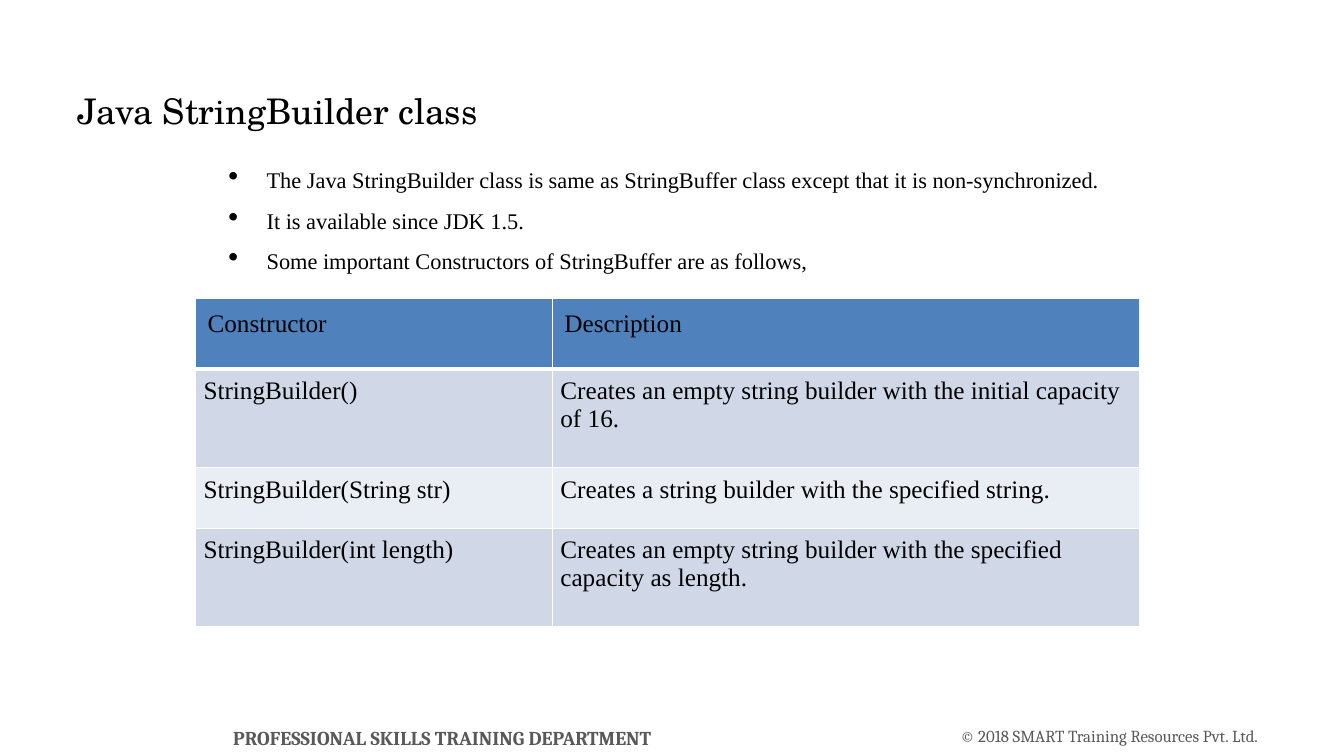
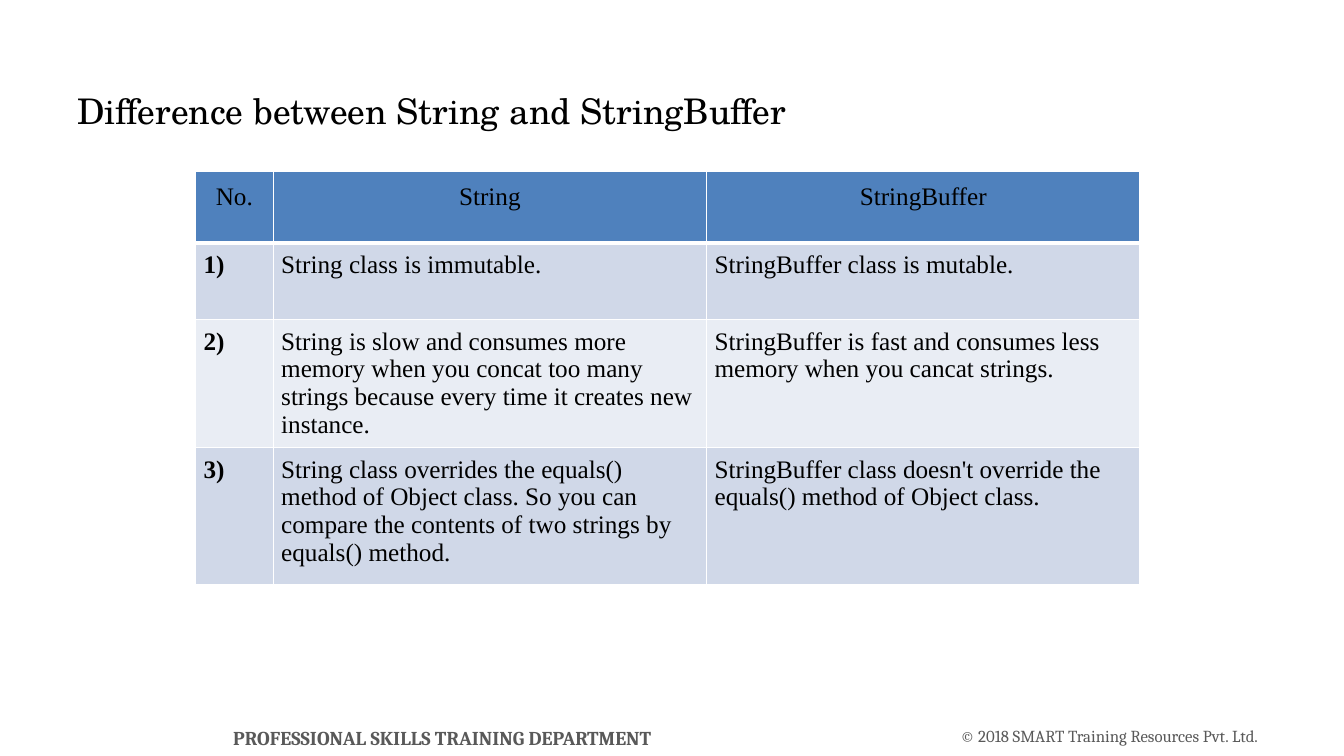
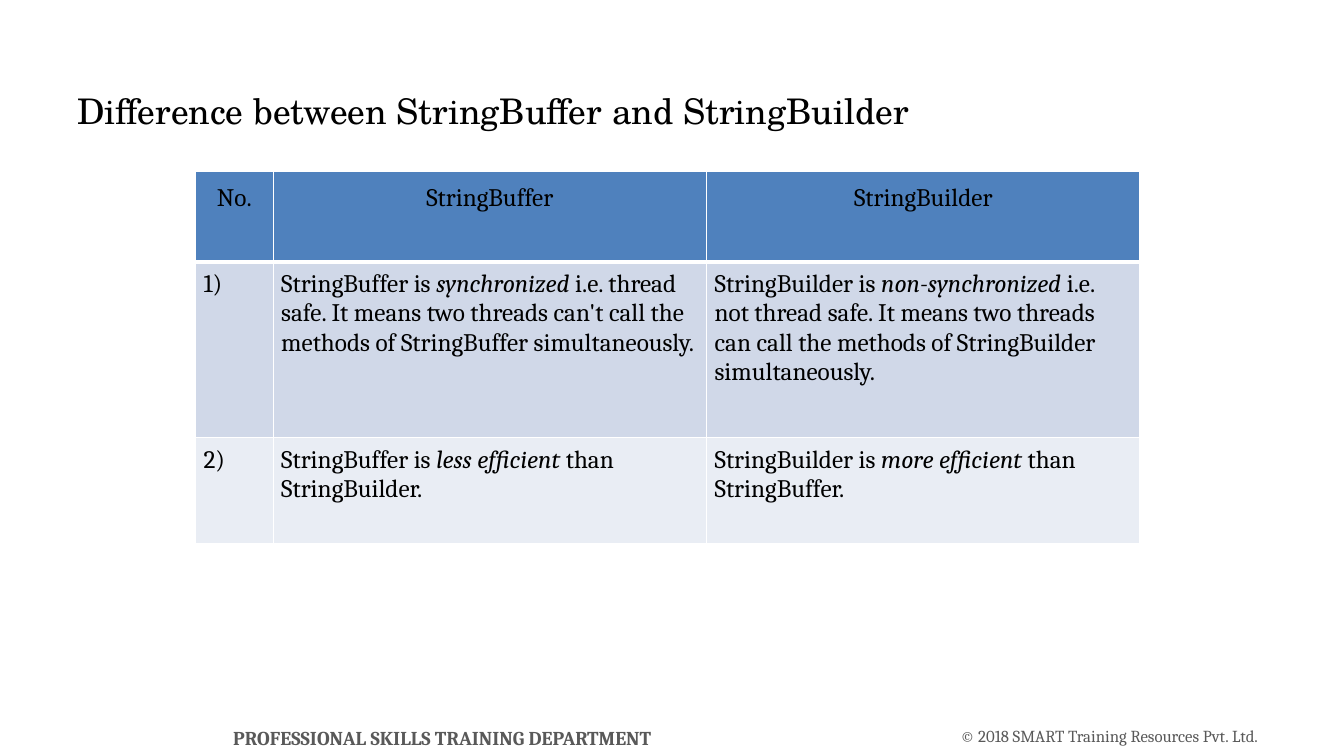
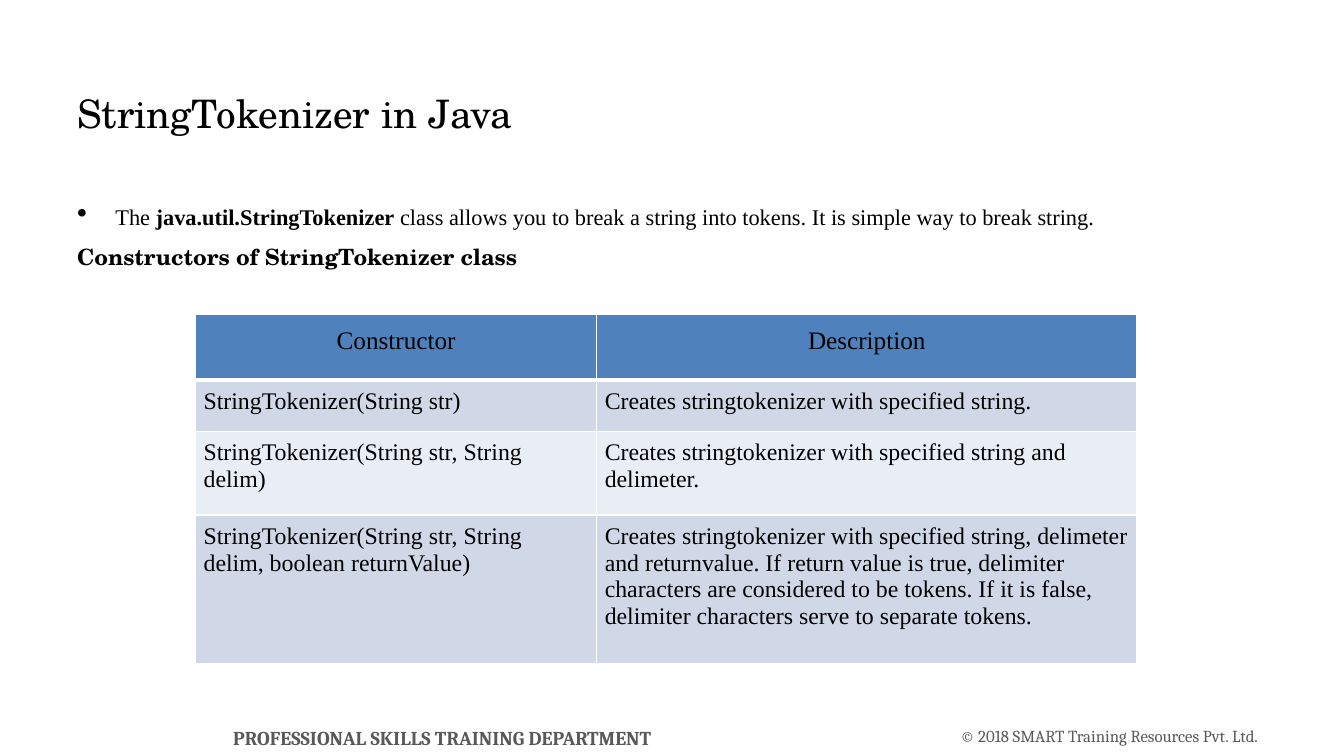
import pptx
import pptx.util
import pptx.dml.color
import pptx.enum.text
import pptx.oxml
import pptx.oxml.ns
import lxml.etree

COLORS = {"ink": "000000", "footer": "595959", "line": "FFFFFF",
          "header": "4F81BD", "odd": "D0D8E8", "even": "E9EDF4"}
SERIF, HEADING, FOOTER = "Times New Roman", "TeX Gyre Schola", "Cambria"
LEFT, CENTER = pptx.enum.text.PP_ALIGN.LEFT, pptx.enum.text.PP_ALIGN.CENTER
TOP, MIDDLE = pptx.enum.text.MSO_ANCHOR.TOP, pptx.enum.text.MSO_ANCHOR.MIDDLE

deck = pptx.Presentation()
deck.slide_width = pptx.util.Inches(13.33)
deck.slide_height = pptx.util.Inches(7.5)
COLUMN = deck.slide_width / 40
ROW = deck.slide_height / 45


def grid(left, top, width, height):
    return (round(left * COLUMN), round(top * ROW),
            round(width * COLUMN), round(height * ROW))


def write(frame, text, font=SERIF, size=18, color="ink", align=LEFT, bold=False,
          emphasis="bold", spacing=None, bullet=False):
    para = frame.paragraphs[0]
    if para.runs:
        para = frame.add_paragraph()
    para.alignment = align
    if spacing:
        para.line_spacing = spacing
    if bullet:
        properties = para._p.get_or_add_pPr()
        properties.set("marL", str(pptx.util.Inches(0.38)))
        properties.set("indent", str(-pptx.util.Inches(0.38)))
        for tag, key, value in (("a:buSzPct", "val", "130000"), ("a:buChar", "char", "•")):
            lxml.etree.SubElement(properties, pptx.oxml.ns.qn(tag)).set(key, value)
    for index, part in enumerate(text.split("|")):
        if part:
            span = para.add_run()
            span.text = part
            span.font.name = font
            span.font.size = pptx.util.Pt(size)
            span.font.color.rgb = pptx.dml.color.RGBColor.from_string(COLORS[color])
            span.font.bold = bold
            if index % 2:
                setattr(span.font, emphasis, True)


slides = [
    {
        "title": "Java StringBuilder class",
        "body": (6.5, 8.82, 27, 28.2),
        "bullets": [
            "The Java StringBuilder class is same as StringBuffer class except that it is non-synchronized.",
            "It is available since JDK 1.5.",
            "Some important Constructors of StringBuffer are as follows,",
        ],
        "top": 17.76,
        "columns": [10.62, 17.49],
        "rows": [4.2, 5.88, 3.6, 5.88],
        "header_align": LEFT,
        "cells": [
            ["Constructor", "Description"],
            ["StringBuilder()", "Creates an empty string builder with the initial capacity of 16."],
            ["StringBuilder(String str)", "Creates a string builder with the specified string."],
            ["StringBuilder(int length)",
             "Creates an empty string builder with the specified capacity as length."],
        ],
    },
    {
        "title": "Difference between String and StringBuffer",
        "top": 10.2,
        "columns": [2.31, 12.9, 12.9],
        "rows": [4.26, 4.56, 7.62, 8.16],
        "cells": [
            ["No.", "String", "StringBuffer"],
            ["|1)|", "String class is immutable.", "StringBuffer class is mutable."],
            ["|2)|",
             "String is slow and consumes more memory when you concat too many strings "
             "because every time it creates new instance.",
             "StringBuffer is fast and consumes less memory when you cancat strings."],
            ["|3)|",
             "String class overrides the equals() method of Object class. So you can "
             "compare the contents of two strings by equals() method.",
             "StringBuffer class doesn't override the equals() method of Object class."],
        ],
    },
    {
        "title": "Difference between StringBuffer and StringBuilder",
        "top": 10.2,
        "columns": [2.31, 12.9, 12.9],
        "rows": [5.4, 10.44, 6.3],
        "font": "Cambria",
        "emphasis": "italic",
        "cells": [
            ["No.", "StringBuffer", "StringBuilder"],
            ["1)",
             "StringBuffer is |synchronized| i.e. thread safe. It means two threads can't "
             "call the methods of StringBuffer simultaneously.",
             "StringBuilder is |non-synchronized| i.e. not thread safe. It means two threads "
             "can call the methods of StringBuilder simultaneously."],
            ["2)", "StringBuffer is |less efficient| than StringBuilder.",
             "StringBuilder is |more efficient| than StringBuffer."],
        ],
    },
    {
        "title": "StringTokenizer in Java",
        "title_size": 28,
        "body": (2, 11, 36, 28.2),
        "bullets": ["The |java.util.StringTokenizer| class allows you to break a string into tokens. "
                    "It is simple way to break string."],
        "subheading": "Constructors of StringTokenizer class",
        "top": 18.72,
        "columns": [11.94, 16.08],
        "rows": [3.9, 3.06, 4.98, 8.82],
        "cell_size": 17,
        "cells": [
            ["Constructor", "Description"],
            ["StringTokenizer(String str)", "Creates stringtokenizer with specified string."],
            ["StringTokenizer(String str, String delim)",
             "Creates stringtokenizer with specified string and delimeter."],
            ["StringTokenizer(String str, String delim, boolean returnValue)",
             "Creates stringtokenizer with specified string, delimeter and returnvalue. "
             "If return value is true, delimiter characters are considered to be tokens. "
             "If it is false, delimiter characters serve to separate tokens."],
        ],
    },
]

footers = [
    ("PROFESSIONAL SKILLS TRAINING DEPARTMENT", (3.33, 43.2, 19.68, 1.44), 14, True),
    ("© 2018 SMART Training Resources Pvt. Ltd.", (28.23, 43.2, 9.57, 1.2), 12, False),
]

layout = deck.slide_layouts[5]
heading = layout.placeholders[0]
heading.left, heading.top, heading.width, heading.height = grid(2, 5, 36, 6)

for number, content in enumerate(slides):
    page = deck.slides.add_slide(layout)

    if number == 0:
        for text, area, size, bold in footers:
            box = page.shapes.add_textbox(*grid(*area))
            frame = box.text_frame
            frame.margin_left = frame.margin_right = frame.margin_top = frame.margin_bottom = 0
            frame.vertical_anchor = MIDDLE
            frame.word_wrap = bold
            write(frame, text, font=FOOTER, size=size, color="footer", align=CENTER, bold=bold)
            layout.shapes._spTree.append(box._element)

    title = page.shapes.title.text_frame
    title.vertical_anchor = TOP
    title.auto_size = pptx.enum.text.MSO_AUTO_SIZE.NONE
    write(title, content["title"], font=HEADING, size=content.get("title_size", 25.2))

    if "body" in content:
        body = page.shapes.add_textbox(*grid(*content["body"])).text_frame
        body.word_wrap = True
        for text in content["bullets"]:
            write(body, text, size=16, spacing=1.5, bullet=True)
        if "subheading" in content:
            write(body, content["subheading"], font=HEADING, size=16, bold=True, spacing=1.5)

    columns, rows, cells = content["columns"], content["rows"], content["cells"]
    area = grid(5.82, content["top"], sum(columns), sum(rows))
    table = page.shapes.add_table(len(rows), len(columns), *area).table
    for index, width in enumerate(columns):
        table.columns[index].width = round(width * COLUMN)
    for index, height in enumerate(rows):
        table.rows[index].height = round(height * ROW)
        is_header = index == 0
        fill = "header" if is_header else "odd" if index % 2 else "even"
        for position, text in enumerate(cells[index]):
            cell = table.cell(index, position)
            margin = pptx.util.Inches(0.12 if is_header else 0.08)
            cell.margin_left = cell.margin_right = cell.margin_top = cell.margin_bottom = margin
            cell.vertical_anchor = TOP
            for side in "LRTB":
                weight = 3 if is_header and side == "B" else 1
                cell._tc.get_or_add_tcPr().append(pptx.oxml.parse_xml(
                    f'<a:ln{side} {pptx.oxml.ns.nsdecls("a")} w="{pptx.util.Pt(weight)}"><a:solidFill>'
                    f'<a:srgbClr val="{COLORS["line"]}"/></a:solidFill></a:ln{side}>'))
            cell.fill.solid()
            cell.fill.fore_color.rgb = pptx.dml.color.RGBColor.from_string(COLORS[fill])
            write(cell.text_frame, text, font=content.get("font", SERIF),
                  size=18 if is_header else content.get("cell_size", 18),
                  align=content.get("header_align", CENTER) if is_header else LEFT,
                  emphasis=content.get("emphasis", "bold"))

deck.save("out.pptx")
